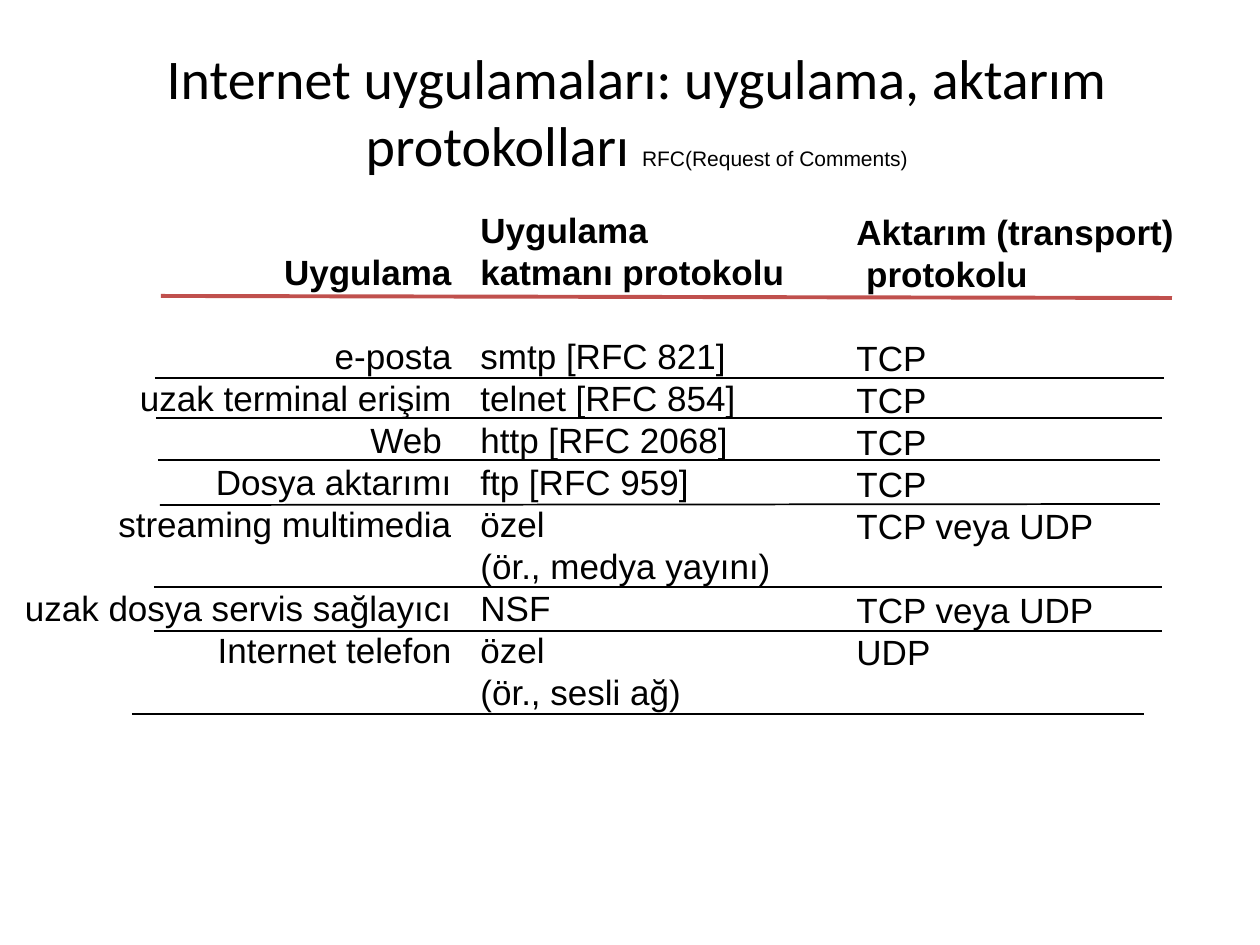
"""Build a slide listing Internet applications and their protocols."""
from dataclasses import dataclass

from lxml.etree import SubElement
from pptx import Presentation
from pptx.dml.color import RGBColor
from pptx.enum.shapes import MSO_CONNECTOR
from pptx.enum.text import MSO_ANCHOR, MSO_AUTO_SIZE, PP_ALIGN
from pptx.oxml.ns import qn
from pptx.util import Emu, Pt

BLACK = RGBColor(0, 0, 0)
RED = RGBColor(0xC0, 0x50, 0x4D)
SCALE = 914400 / 126
PITCH = Pt(24)


@dataclass
class Column:
    """A column of text; an empty row leaves a gap of one line."""
    box: tuple[int, int, int, int]
    align: PP_ALIGN
    heads: list[str]
    rows: list[str]


@dataclass
class Rule:
    """A line across the columns."""
    left: int
    top: int
    right: int
    end: int
    color: RGBColor = BLACK
    width: float = 1


COLUMNS = [
    Column((-20, 244, 484, 475), PP_ALIGN.RIGHT, ["Uygulama"],
           ["", "e-posta", "uzak terminal erişim", "Web ", "Dosya aktarımı",
            "streaming multimedia", "", "uzak dosya servis sağlayıcı",
            "Internet telefon"]),
    Column((468, 202, 356, 517), PP_ALIGN.LEFT,
           ["Uygulama", "katmanı protokolu"],
           ["", "smtp [RFC 821]", "telnet [RFC 854]", "http [RFC 2068]",
            "ftp [RFC 959]", "özel", "(ör., medya yayını)", "NSF", "özel",
            "(ör., sesli ağ)"]),
    Column((844, 204, 362, 475), PP_ALIGN.LEFT,
           ["Aktarım (transport)\v protokolu"],
           ["", "TCP", "TCP", "TCP", "TCP", "TCP veya UDP", "",
            "TCP veya UDP", "UDP"]),
]
RULES = [
    Rule(161, 296, 1172, 298, RED, 2.25),
    Rule(155, 378, 1164, 378),
    Rule(156, 418, 1162, 418),
    Rule(158, 460, 1160, 460),
    Rule(160, 505, 1160, 504),
    Rule(154, 587, 1162, 587),
    Rule(154, 631, 1162, 631),
    Rule(132, 714, 1144, 714),
]


def px(*nums: int) -> list[Emu]:
    """Turn pixels into EMU."""
    return [Emu(round(num * SCALE)) for num in nums]


def apply(item, **values) -> None:
    """Set each named value on an item."""
    for name, value in values.items():
        setattr(item, name, value)


def style(font, **values) -> None:
    """Format a font in black."""
    apply(font, **values)
    font.color.rgb = BLACK


def draw_title(shape) -> None:
    """Place and fill the title."""
    left, top, width, height = px(34, 32, 1206, 158)
    apply(shape, left=left, top=top, width=width, height=height)
    frame = shape.text_frame
    apply(frame, auto_size=MSO_AUTO_SIZE.NONE, word_wrap=True,
          vertical_anchor=MSO_ANCHOR.MIDDLE)
    para = frame.paragraphs[0]
    para.alignment = PP_ALIGN.CENTER
    parts = [
        ("Internet uygulamaları: uygulama, aktarım protokolları ", 32, "Calibri"),
        ("RFC(Request of Comments)", 12, "Arial"),
    ]
    for text, size, face in parts:
        run = para.add_run()
        run.text = text
        style(run.font, size=Pt(size), name=face)


def draw_column(slide, col: Column) -> None:
    """Write the heads and rows of a column."""
    frame = slide.shapes.add_textbox(*px(*col.box)).text_frame
    frame.word_wrap = True
    lines = [(text, True) for text in col.heads]
    lines += [(text, False) for text in col.rows]
    para, gap = frame.paragraphs[0], Pt(0)
    for place, (text, bold) in enumerate(lines):
        if not text:
            gap = PITCH
            continue
        if place:
            para = frame.add_paragraph()
        para.text = text
        apply(para, alignment=col.align, line_spacing=PITCH, space_before=gap)
        style(para.font, size=Pt(20), name="Arial", bold=bold)
        gap = Pt(0)


def draw_rule(slide, rule: Rule) -> None:
    """Draw a line without a shadow."""
    ends = px(rule.left, rule.top, rule.right, rule.end)
    shape = slide.shapes.add_connector(MSO_CONNECTOR.STRAIGHT, *ends)
    shape.line.color.rgb = rule.color
    shape.line.width = Pt(rule.width)
    SubElement(shape._element.spPr, qn("a:effectLst"))


def main() -> None:
    """Build and save the slide."""
    deck = Presentation()
    width, height = px(1260, 945)
    apply(deck, slide_width=width, slide_height=height)
    slide = deck.slides.add_slide(deck.slide_layouts[5])
    draw_title(slide.shapes.title)
    for col in COLUMNS:
        draw_column(slide, col)
    for rule in RULES:
        draw_rule(slide, rule)
    deck.save("out.pptx")


if __name__ == "__main__":
    main()
